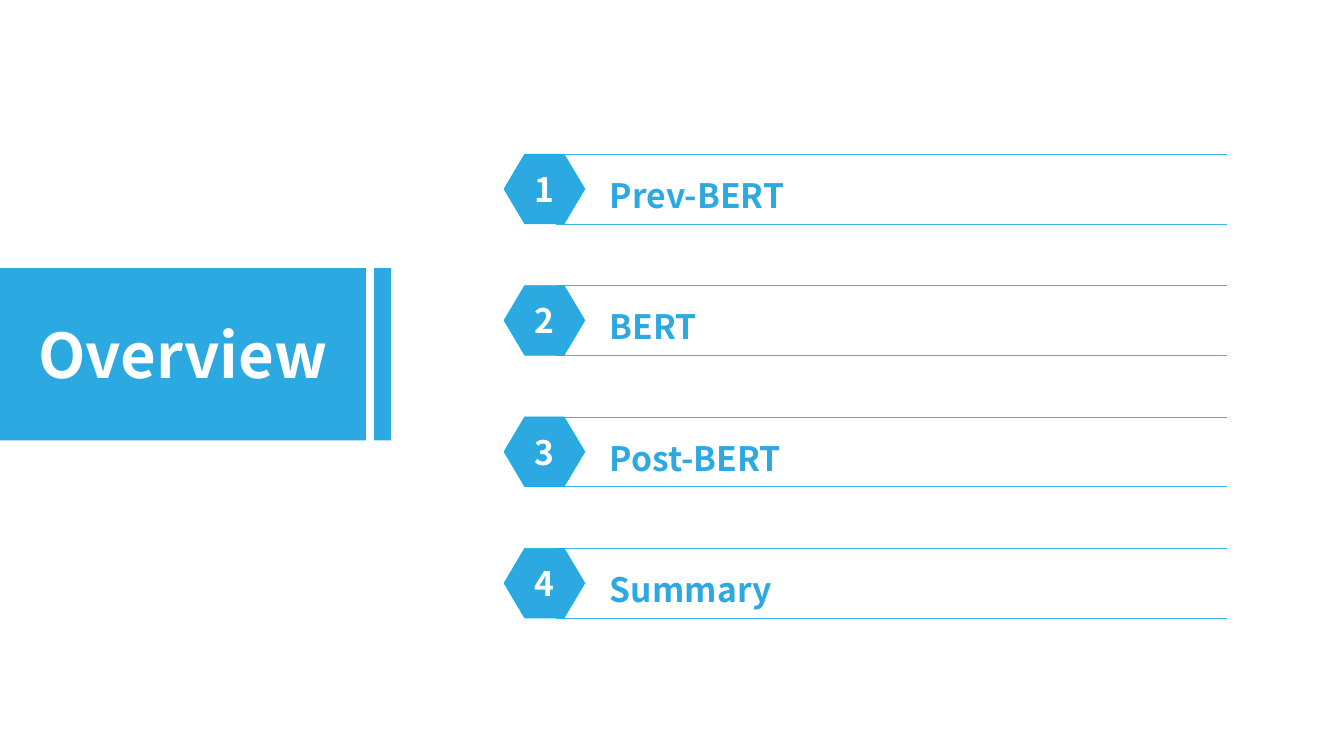
from dataclasses import dataclass

from pptx import Presentation
from pptx.dml.color import RGBColor
from pptx.enum.shapes import MSO_SHAPE
from pptx.enum.text import MSO_ANCHOR, PP_ALIGN
from pptx.util import Inches, Pt


@dataclass(frozen=True)
class Theme:
    font: str = "Noto Sans CJK SC"
    accent: str = "2DA9E1"
    rule: str = "3BB3E5"
    badge_edge: str = "08B3EB"
    white: str = "FFFFFF"
    title_size: int = 44
    item_size: int = 24


THEME = Theme()
WIDTH, HEIGHT = 13.33, 7.5
ITEMS = ["Prev-BERT", "BERT", "Post-BERT", "Summary"]


def style(sp, fill=None, line=None, weight=0.5):
    sp.shadow.inherit = False
    if fill:
        sp.fill.solid()
        sp.fill.fore_color.rgb = RGBColor.from_string(fill)
    else:
        sp.fill.background()
    if line:
        sp.line.color.rgb = RGBColor.from_string(line)
        sp.line.width = Pt(weight)
    else:
        sp.line.fill.background()


def add_preset(shapes, kind, x, y, w, h, line=None):
    sp = shapes.add_shape(kind, Inches(x), Inches(y), Inches(w), Inches(h))
    style(sp, THEME.accent, line)
    return sp


def write(sp, text, size, color, align=PP_ALIGN.CENTER, left=0, spacing=None):
    tf = sp.text_frame
    tf.word_wrap = True
    tf.vertical_anchor = MSO_ANCHOR.MIDDLE
    tf.margin_left = Inches(left)
    tf.margin_right = tf.margin_top = tf.margin_bottom = 0
    p = tf.paragraphs[0]
    p.alignment = align
    if spacing:
        p.line_spacing = spacing
    r = p.add_run()
    r.text = text
    r.font.name, r.font.size, r.font.bold = THEME.font, Pt(size), True
    r.font.color.rgb = RGBColor.from_string(color)


def title_band(s, x, y, w, h):
    """Title block followed by a narrow stripe at the right end of the box."""
    stripe, gap = 0.17, 0.08
    block = add_preset(s.shapes, MSO_SHAPE.RECTANGLE, x, y, w - stripe - gap, h)
    write(block, "Overview", THEME.title_size, THEME.white)
    add_preset(s.shapes, MSO_SHAPE.RECTANGLE, x + w - stripe, y, stripe, h)


def agenda_item(s, number, text, x, y, w, h):
    """Numbered hexagon in front of a frame that is open on the right."""
    group = s.shapes.add_group_shape()
    left, right = x + 0.52, x + w
    corners = [(right, y + h), (left, y + h), (left, y), (right, y)]
    points = [(Inches(px), Inches(py)) for px, py in corners]
    builder = group.shapes.build_freeform(*points[0])
    builder.add_line_segments(points[1:], close=False)
    frame = builder.convert_to_shape()
    style(frame, line=THEME.rule, weight=0.25)
    write(frame, text, THEME.item_size, THEME.accent, PP_ALIGN.LEFT, 0.53, 1.3)

    badge = add_preset(group.shapes, MSO_SHAPE.HEXAGON, x, y, 0.8, h, THEME.badge_edge)
    badge.adjustments[0] = 0.297
    badge.adjustments[1] = 1.155
    write(badge, str(number), THEME.item_size, THEME.white)


def agenda(s, x, y, w, h, row_h=0.69):
    pitch = (h - row_h) / (len(ITEMS) - 1)
    for i, text in enumerate(ITEMS):
        agenda_item(s, i + 1, text, x, y + i * pitch, w, row_h)


def main():
    prs = Presentation()
    prs.slide_width, prs.slide_height = Inches(WIDTH), Inches(HEIGHT)
    s = prs.slides.add_slide(prs.slide_layouts[6])
    s.background.fill.solid()
    s.background.fill.fore_color.rgb = RGBColor.from_string(THEME.white)
    title_band(s, 0, 2.66, 3.88, 1.71)
    agenda(s, 5, 1.53, 7.17, 4.6)
    prs.save("out.pptx")


if __name__ == "__main__":
    main()
